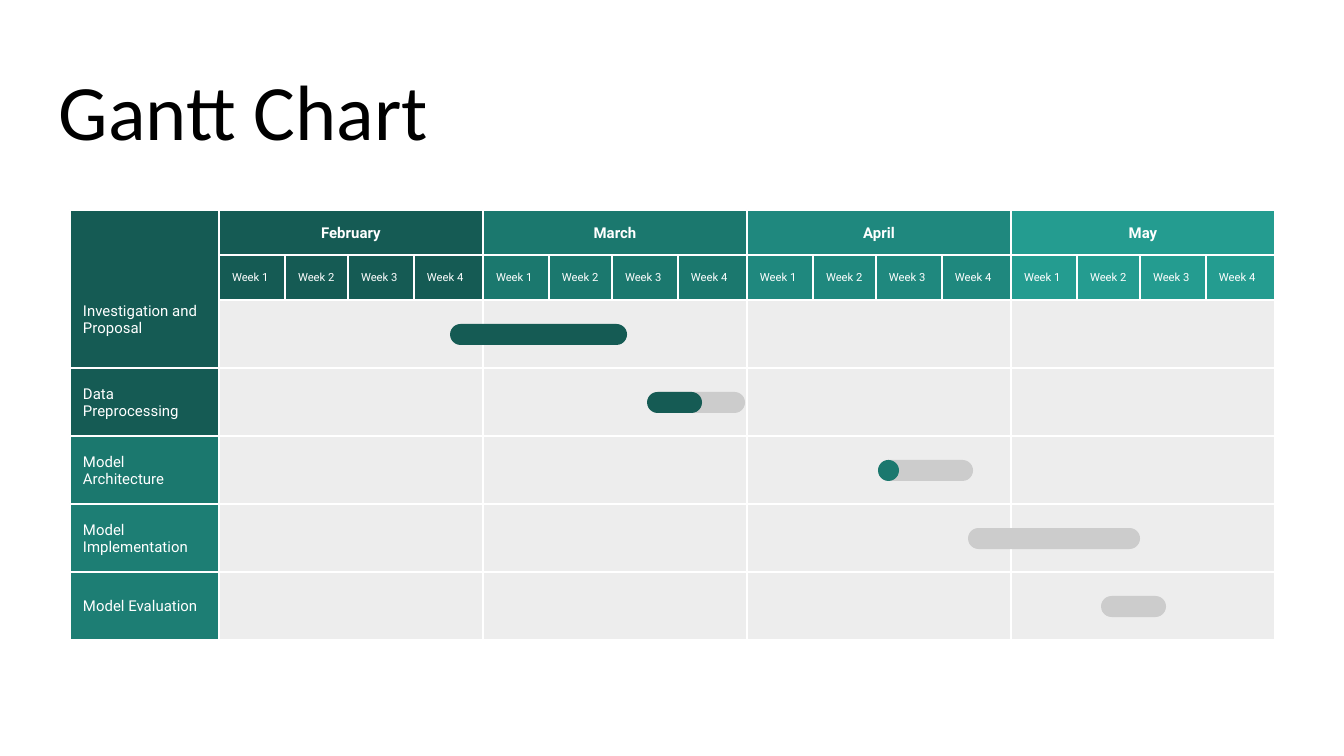
"""Build a Gantt chart slide for a four-month model project."""
import pptx
import pptx.dml.color
import pptx.enum.shapes
import pptx.enum.text
import pptx.util

RGBColor = pptx.dml.color.RGBColor
Shape = pptx.enum.shapes.MSO_SHAPE
Align = pptx.enum.text.PP_ALIGN
Anchor = pptx.enum.text.MSO_ANCHOR

BLACK = RGBColor(0x00, 0x00, 0x00)
WHITE = RGBColor(0xFF, 0xFF, 0xFF)
LIGHT_GREY = RGBColor(0xED, 0xED, 0xED)
GREY = RGBColor(0xCC, 0xCC, 0xCC)
DARK_TEAL = RGBColor(0x15, 0x5B, 0x54)
TEAL = RGBColor(0x1B, 0x78, 0x6E)
MID_TEAL = RGBColor(0x1D, 0x7E, 0x74)
BRIGHT_TEAL = RGBColor(0x1F, 0x88, 0x7E)
PALE_TEAL = RGBColor(0x24, 0x9C, 0x90)

PX_PER_INCH = 134.4
SLIDE_WIDTH, SLIDE_HEIGHT = 1344, 756
LABEL_LEFT, GRID_LEFT, GRID_TOP = 70, 219, 300
MONTH_WIDTH, ROW_HEIGHT = 264, 68
HEADER_TOP, HEADER_HEIGHT = 210, 45
WEEK_EDGES = [0, 66, 129, 195, MONTH_WIDTH]
WEEK_WIDTH = 66
BAR_HEIGHT, BAR_OFFSET = 21, 24
INSET = 13

MONTHS = [("February", DARK_TEAL), ("March", TEAL),
          ("April", BRIGHT_TEAL), ("May", PALE_TEAL)]
TASKS = [("Investigation and Proposal", DARK_TEAL),
         ("Data Preprocessing", DARK_TEAL),
         ("Model Architecture", TEAL),
         ("Model Implementation", MID_TEAL),
         ("Model Evaluation", MID_TEAL)]
BARS = [(0, 450, 177, DARK_TEAL),
        (1, 648, 97, GREY), (1, 647, 55, DARK_TEAL),
        (2, 878, 95, GREY), (2, 878, 21, TEAL),
        (3, 968, 172, GREY),
        (4, 1101, 65, GREY)]


def px(length):
    """Turn pixels into EMU."""
    return pptx.util.Emu(round(length * 914400 / PX_PER_INCH))


def write_text(shape, text, size=8, font="Roboto", color=WHITE, bold=False,
               align=Align.LEFT, anchor=Anchor.MIDDLE, bottom=INSET):
    """Put one formatted paragraph into a shape."""
    frame = shape.text_frame
    frame.word_wrap = True
    frame.auto_size = pptx.enum.text.MSO_AUTO_SIZE.NONE
    frame.vertical_anchor = anchor
    frame.margin_left = frame.margin_right = frame.margin_top = px(INSET)
    frame.margin_bottom = px(bottom)
    paragraph = frame.paragraphs[0]
    paragraph.alignment = align
    run = paragraph.add_run()
    run.text = text
    run.font.size = pptx.util.Pt(size)
    run.font.name = font
    run.font.bold = bold
    run.font.color.rgb = color


class GanttSlide:
    """Hold the chart style and the current slide."""

    def __init__(self, presentation):
        """Add a slide that has only a title."""
        self.slide = presentation.slides.add_slide(presentation.slide_layouts[5])
        self.border_width = pptx.util.Pt(0.75)

    def title(self, text, left, top, width, height):
        """Move and fill the title placeholder."""
        title = self.slide.shapes.title
        title.left, title.top = px(left), px(top)
        title.width, title.height = px(width), px(height)
        write_text(title, text, size=42, font="Calibri", color=BLACK,
                   anchor=Anchor.BOTTOM)

    def filled(self, kind, left, top, width, height, color):
        """Add a flat shape without shadow or line."""
        shape = self.slide.shapes.add_shape(
            kind, px(left), px(top), px(width), px(height))
        shape.shadow.inherit = False
        shape.fill.solid()
        shape.fill.fore_color.rgb = color
        shape.line.fill.background()
        return shape

    def cell(self, left, top, width, height, color, text="", **text_format):
        """Add a white-bordered rectangle with optional text."""
        shape = self.filled(Shape.RECTANGLE, left, top, width, height, color)
        shape.line.color.rgb = WHITE
        shape.line.width = self.border_width
        if text:
            write_text(shape, text, **text_format)

    def bar(self, left, top, width, color):
        """Add a horizontal bar with round ends."""
        shift = (width - BAR_HEIGHT) / 2
        shape = self.filled(Shape.ROUND_2_SAME_RECTANGLE, left + shift,
                            top - shift, BAR_HEIGHT, width, color)
        shape.rotation = 90
        shape.adjustments[0] = shape.adjustments[1] = 0.5


def main():
    """Build and save the presentation."""
    presentation = pptx.Presentation()
    presentation.slide_width = px(SLIDE_WIDTH)
    presentation.slide_height = px(SLIDE_HEIGHT)
    gantt = GanttSlide(presentation)
    gantt.title("Gantt Chart", 46, 47, 1253, 122)

    for column, (month, color) in enumerate(MONTHS):
        left = GRID_LEFT + column * MONTH_WIDTH
        for row in range(len(TASKS)):
            gantt.cell(left, GRID_TOP + row * ROW_HEIGHT,
                       MONTH_WIDTH, ROW_HEIGHT, LIGHT_GREY)
        gantt.cell(left, HEADER_TOP, MONTH_WIDTH, HEADER_HEIGHT, color,
                   month, bold=True, align=Align.CENTER)
        for week, edge in enumerate(WEEK_EDGES[:-1], start=1):
            width = max(WEEK_WIDTH, WEEK_EDGES[week] - edge)
            gantt.cell(left + edge, HEADER_TOP + HEADER_HEIGHT, width,
                       HEADER_HEIGHT, color, f"Week {week}", size=6)

    label_width = GRID_LEFT - LABEL_LEFT
    for row, (task, color) in enumerate(TASKS[1:], start=1):
        gantt.cell(LABEL_LEFT, GRID_TOP + row * ROW_HEIGHT,
                   label_width, ROW_HEIGHT, color, task)
    first_task, first_color = TASKS[0]
    gantt.cell(LABEL_LEFT, HEADER_TOP, label_width,
               GRID_TOP + ROW_HEIGHT - HEADER_TOP, first_color, first_task,
               anchor=Anchor.BOTTOM, bottom=31)

    for row, left, width, color in BARS:
        gantt.bar(left, GRID_TOP + row * ROW_HEIGHT + BAR_OFFSET, width, color)

    presentation.save("out.pptx")


if __name__ == "__main__":
    main()
